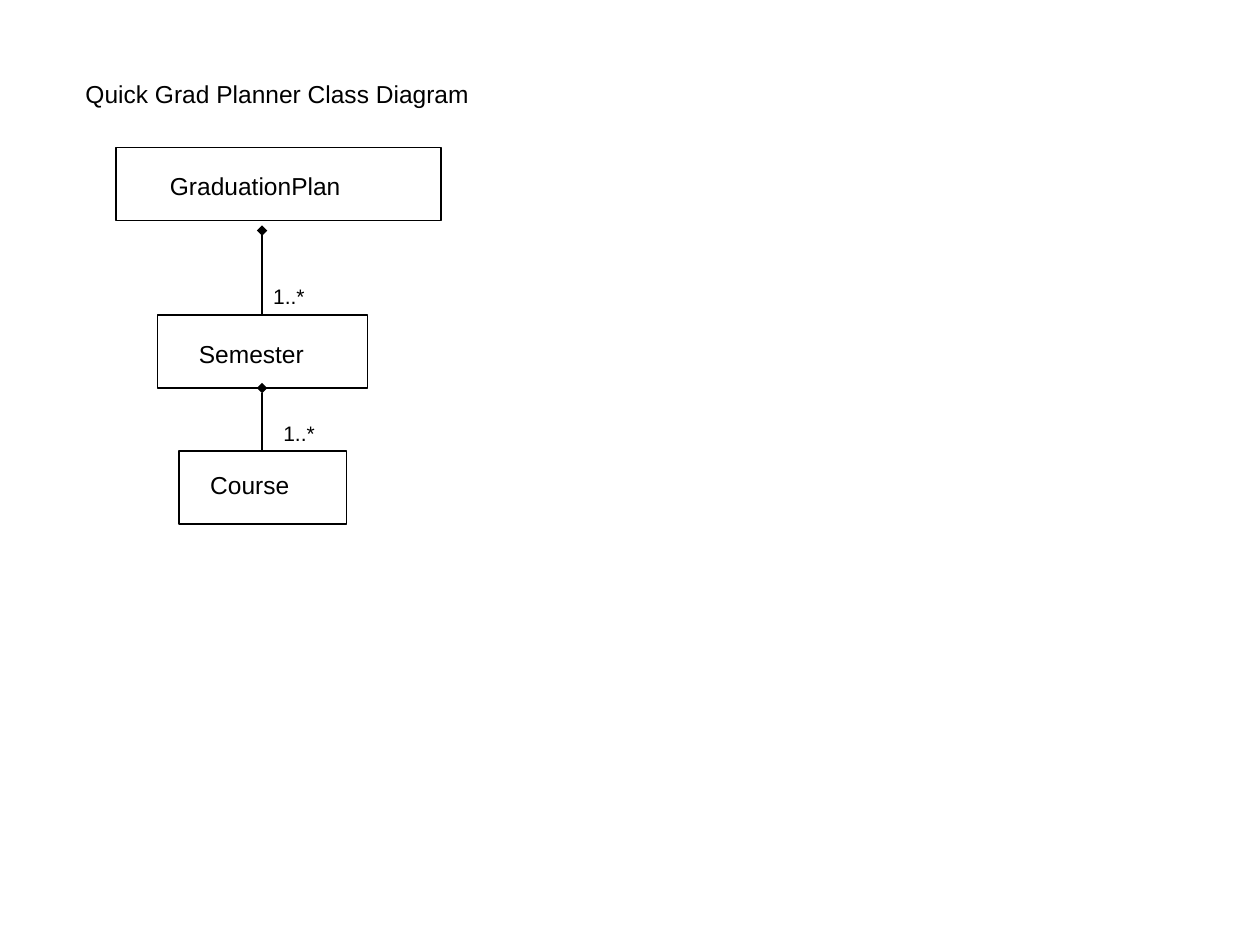
from dataclasses import dataclass

from lxml.etree import SubElement
from pptx import Presentation
from pptx.dml.color import RGBColor
from pptx.enum.shapes import MSO_CONNECTOR as Connector, MSO_SHAPE as Shape
from pptx.enum.text import MSO_AUTO_SIZE as AutoSize
from pptx.oxml.ns import qn
from pptx.slide import Slide
from pptx.util import Inches, Pt

COLORS = {"ink": "000000"}
FONT = "Arial"
BOX_HEIGHT = 0.58
AXIS_X = 2.08


@dataclass
class ClassBox:
    name: str
    left: float
    top: float
    width: float
    label_left: float
    label_top: float
    label_width: float


@dataclass
class Composition:
    """A line from the part up to a diamond at the whole, with its multiplicity."""
    part_y: float
    whole_y: float
    weight: float
    label_left: float
    label_top: float
    label_width: float
    wrap: bool


CLASSES = [
    ClassBox("Course", 1.42, 3.58, 1.33, 1.57, 3.68, 0.86),
    ClassBox("Semester", 1.25, 2.5, 1.67, 1.48, 2.64, 1.06),
    ClassBox("GraduationPlan", 0.92, 1.17, 2.58, 1.25, 1.31, 1.58),
]
COMPOSITIONS = [
    Composition(2.5, 1.83, 0.75, 2.07, 2.2, 0.47, False),
    Composition(3.58, 3.08, 1, 2.15, 3.29, 0.68, True),
]


def ink() -> RGBColor:
    return RGBColor.from_string(COLORS["ink"])


def add_text(slide: Slide, text: str, left: float, top: float, width: float, *,
             height: float = 0.34, size: float = 14, wrap: bool = False) -> None:
    box = slide.shapes.add_textbox(Inches(left), Inches(top), Inches(width), Inches(height))
    frame = box.text_frame
    frame.word_wrap = wrap
    frame.auto_size = AutoSize.SHAPE_TO_FIT_TEXT
    span = frame.paragraphs[0].add_run()
    span.text = text
    span.font.name = FONT
    span.font.size = Pt(size)
    span.font.color.rgb = ink()


def add_class(slide: Slide, item: ClassBox) -> None:
    box = slide.shapes.add_shape(Shape.RECTANGLE, Inches(item.left), Inches(item.top),
                                 Inches(item.width), Inches(BOX_HEIGHT))
    box.shadow.inherit = False
    box.fill.background()
    box.line.color.rgb = ink()
    box.line.width = Pt(0.75)
    add_text(slide, item.name, item.label_left, item.label_top, item.label_width)


def add_composition(slide: Slide, link: Composition) -> None:
    line = slide.shapes.add_connector(Connector.STRAIGHT, Inches(AXIS_X), Inches(link.part_y),
                                      Inches(AXIS_X), Inches(link.whole_y))
    line.line.color.rgb = ink()
    line.line.width = Pt(link.weight)
    SubElement(line.line._get_or_add_ln(), qn("a:tailEnd"), type="diamond")
    SubElement(line._element.spPr, qn("a:effectLst"))
    add_text(slide, "1..*", link.label_left, link.label_top, link.label_width,
             height=0.3, size=12, wrap=link.wrap)


def main() -> None:
    deck = Presentation()
    deck.slide_width, deck.slide_height = Inches(10), Inches(7.5)
    page = deck.slides.add_slide(deck.slide_layouts[6])
    add_text(page, "Quick Grad Planner Class Diagram", 0.58, 0.58, 3.28)
    for item in CLASSES:
        add_class(page, item)
    for link in COMPOSITIONS:
        add_composition(page, link)
    deck.save("out.pptx")


if __name__ == "__main__":
    main()
